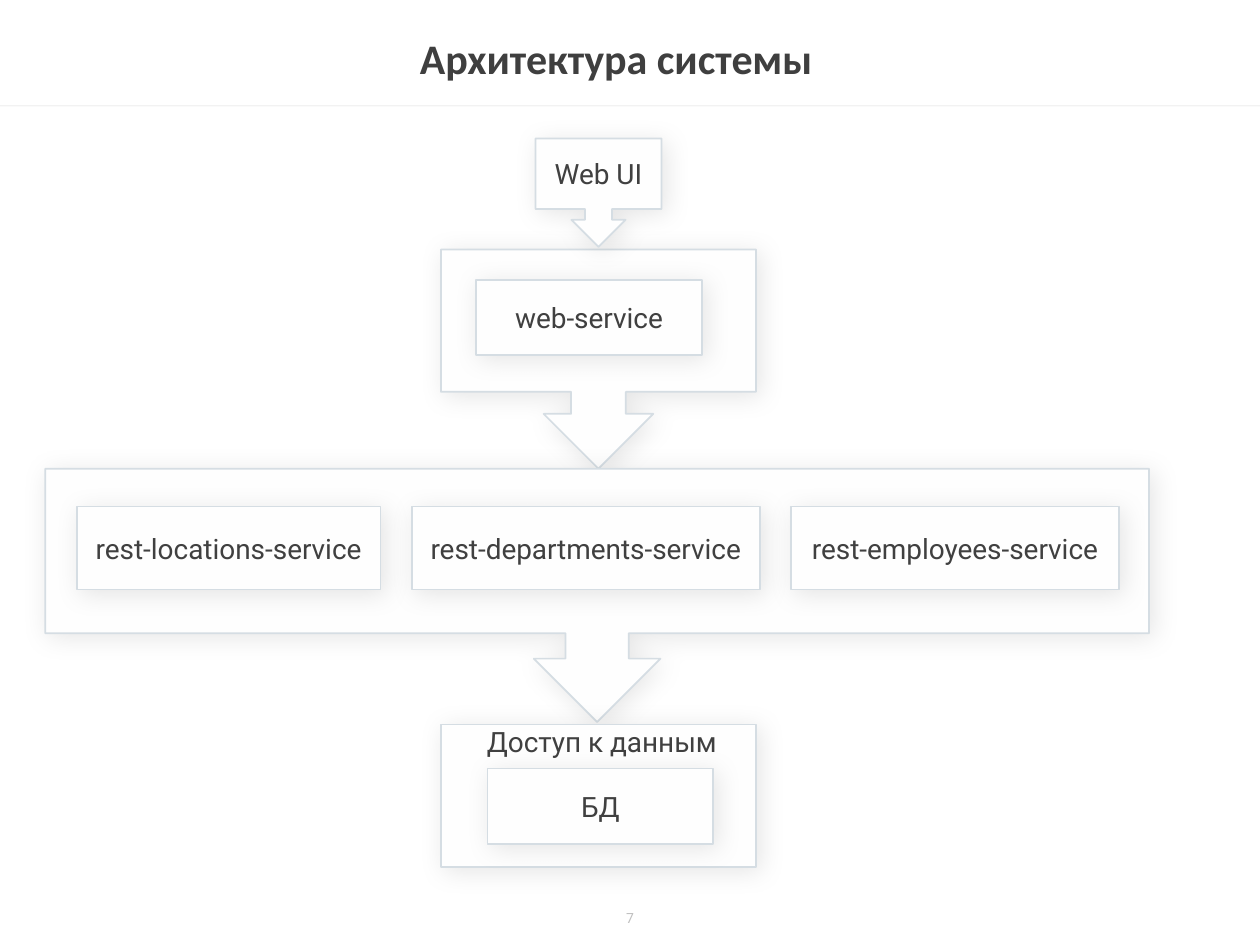
from dataclasses import dataclass

from lxml.etree import SubElement
from pptx import Presentation
from pptx.dml.color import RGBColor
from pptx.enum.shapes import MSO_CONNECTOR, MSO_SHAPE
from pptx.enum.text import MSO_ANCHOR, PP_ALIGN
from pptx.oxml.ns import qn
from pptx.util import Inches, Pt


@dataclass(frozen=True)
class Theme:
    paper: str = "FFFFFF"
    box: str = "FEFEFE"
    border: str = "D5DDE3"
    rule: str = "808080"
    title: str = "3F3F3F"
    label: str = "404040"
    number: str = "BFBFBF"
    shadow: str = "000000"
    heading_font: str = "Calibri"
    body_font: str = "Roboto"
    title_size: int = 24
    label_size: int = 16
    number_size: int = 8


theme = Theme()
rgb = RGBColor.from_string


def write(shape, text, size, color, font=theme.body_font, bold=False,
          anchor=MSO_ANCHOR.MIDDLE, wrap=True):
    frame = shape.text_frame
    frame.margin_left = frame.margin_right = frame.margin_top = frame.margin_bottom = 0
    frame.word_wrap = wrap
    frame.vertical_anchor = anchor
    line = frame.paragraphs[0]
    line.text = text
    line.alignment = PP_ALIGN.CENTER
    line.font.size = Pt(size)
    line.font.name = font
    line.font.bold = bold
    line.font.color.rgb = rgb(color)


def add_block(kind, bounds, text="", anchor=MSO_ANCHOR.MIDDLE):
    block = slide.shapes.add_shape(kind, *map(Inches, bounds))
    block.fill.solid()
    block.fill.fore_color.rgb = rgb(theme.box)
    block.line.color.rgb = rgb(theme.border)
    block.line.width = Pt(1)
    block.shadow.inherit = False
    effects = block._element.spPr.find(qn("a:effectLst"))
    shadow = SubElement(effects, qn("a:outerShdw"), blurRad=str(Pt(15)),
                        dist=str(Pt(3)), dir="2700000", algn="tl", rotWithShape="0")
    tint = SubElement(shadow, qn("a:srgbClr"), val=theme.shadow)
    SubElement(tint, qn("a:alpha"), val="10000")
    if text:
        write(block, text, theme.label_size, theme.label, anchor=anchor)


deck = Presentation()
deck.slide_width, deck.slide_height = Inches(10), Inches(7.5)
slide = deck.slides.add_slide(deck.slide_layouts[6])

header = slide.shapes.add_shape(MSO_SHAPE.RECTANGLE, 0, 0, Inches(10), Inches(0.84))
header.shadow.inherit = False
header.fill.solid()
header.fill.fore_color.rgb = rgb(theme.paper)
header.line.fill.background()

divider = slide.shapes.add_connector(
    MSO_CONNECTOR.STRAIGHT, 0, Inches(0.84), Inches(10), Inches(0.84))
divider.line.color.rgb = rgb(theme.rule)
divider.line.width = Pt(0.75)
SubElement(divider._element.spPr, qn("a:effectLst"))

for faded, alpha in ((header, "50000"), (divider, "10000")):
    color = next(faded._element.spPr.iter(qn("a:srgbClr")))
    SubElement(color, qn("a:alpha"), val=alpha)

title = slide.shapes.add_textbox(Inches(1.27), Inches(0.24), Inches(7.24), Inches(0.44))
write(title, "Архитектура системы", theme.title_size, theme.title,
      theme.heading_font, bold=True)

page_number = slide.shapes.add_textbox(Inches(4.89), Inches(7.22), Inches(0.22), Inches(0.13))
write(page_number, "7", theme.number_size, theme.number, wrap=False)

for bounds, text in (
    ((3.5, 1.98, 2.5, 1.74), ""),
    ((4.25, 1.1, 1, 0.86), "Web UI"),
    ((0.36, 3.72, 8.76, 2.01), ""),
):
    add_block(MSO_SHAPE.DOWN_ARROW_CALLOUT, bounds, text)

add_block(MSO_SHAPE.RECTANGLE, (3.5, 5.75, 2.5, 1.13), " Доступ к данным", MSO_ANCHOR.TOP)

for left, top, text in ((3.78, 2.22, "web-service"), (3.87, 6.1, "БД")):
    add_block(MSO_SHAPE.RECTANGLE, (left, top, 1.79, 0.6), text)

service_left, service_gap = 0.61, 0.25
for resource, width in (("locations", 2.41), ("departments", 2.76), ("employees", 2.6)):
    add_block(MSO_SHAPE.RECTANGLE, (service_left, 4.02, width, 0.66),
              f"rest-{resource}-service")
    service_left += width + service_gap

deck.save("out.pptx")
